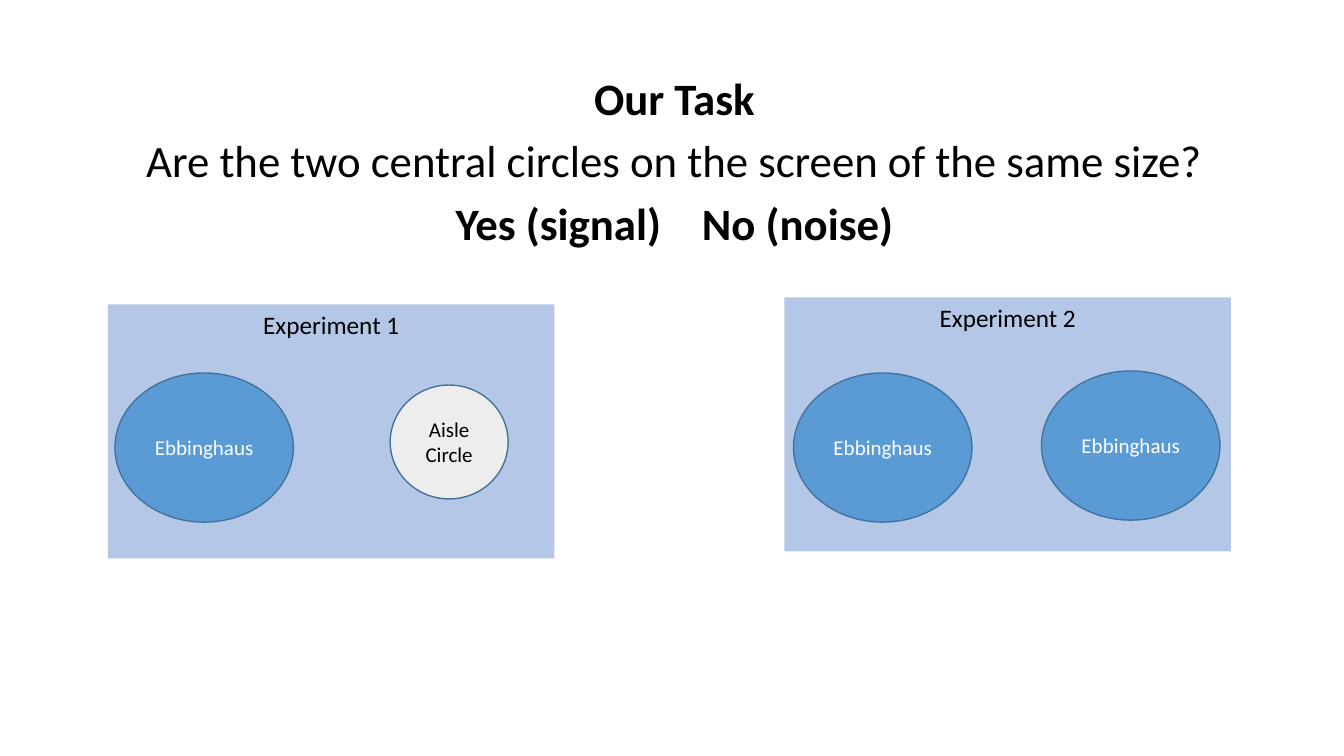
"""Build the slide that explains the circle comparison task."""
import pptx
import pptx.util
import pptx.dml.color
import pptx.enum.shapes
import pptx.enum.text

Inches, Pt = pptx.util.Inches, pptx.util.Pt
RGBColor = pptx.dml.color.RGBColor
SHAPE = pptx.enum.shapes.MSO_SHAPE
ANCHOR = pptx.enum.text.MSO_ANCHOR
ALIGN = pptx.enum.text.PP_ALIGN

BLACK = RGBColor(0x00, 0x00, 0x00)
WHITE = RGBColor(0xFF, 0xFF, 0xFF)
PANEL = RGBColor(0xB4, 0xC7, 0xE7)
BLUE = RGBColor(0x5B, 0x9B, 0xD5)
GREY = RGBColor(0xED, 0xED, 0xED)
OUTLINE = RGBColor(0x43, 0x73, 0x9E)


def add_run(p, text, size, color=BLACK, bold=False):
    """Add a formatted run to a paragraph and return it."""
    r = p.add_run()
    r.text = text
    r.font.name = "Calibri"
    r.font.size = Pt(size)
    r.font.bold = bold
    r.font.color.rgb = color
    return r


def add_task(s):
    """Add the centred question with its two answers."""
    sp = s.shapes.add_textbox(Inches(0.94), Inches(0.71), Inches(11.5), Inches(4.76))
    tf = sp.text_frame
    tf.word_wrap = True
    lines = [
        (["Our Task"], True),
        (["Are the two central circles on the screen of the same size?"], False),
        (["Yes (signal)", " ", "No (noise)"], True),
    ]
    for i, (texts, bold) in enumerate(lines):
        p = tf.add_paragraph() if i else tf.paragraphs[0]
        p.alignment = ALIGN.CENTER
        p.line_spacing = 0.9
        p.space_before = Pt(10)
        for text in texts:
            r = add_run(p, text, 32, bold=bold)
            if text == " ":
                r.font._element.set("spc", "2170")


def add_labelled(s, kind, box, fill, text, size, color, anchor):
    """Add a filled shape with a centred label and return it."""
    sp = s.shapes.add_shape(kind, *[Inches(v) for v in box])
    sp.shadow.inherit = False
    sp.fill.solid()
    sp.fill.fore_color.rgb = fill
    sp.line.fill.background()
    tf = sp.text_frame
    tf.word_wrap = True
    tf.vertical_anchor = anchor
    p = tf.paragraphs[0]
    p.alignment = ALIGN.CENTER
    add_run(p, text, size, color)
    return sp


def add_panel(s, left, top, text):
    """Add the background panel of one experiment."""
    add_labelled(s, SHAPE.RECTANGLE, (left, top, 4.43, 2.52), PANEL,
                 text, 18, BLACK, ANCHOR.TOP)


def add_circle(s, left, top, width=1.77, height=1.48, fill=BLUE,
               text="Ebbinghaus", color=WHITE):
    """Add an outlined ellipse with its label in the middle."""
    sp = add_labelled(s, SHAPE.OVAL, (left, top, width, height), fill,
                      text, 15, color, ANCHOR.MIDDLE)
    sp.line.color.rgb = OUTLINE
    sp.line.width = Pt(1)


def main():
    """Build and save the slide."""
    prs = pptx.Presentation()
    prs.slide_width, prs.slide_height = Inches(13.33), Inches(7.5)
    s = prs.slides.add_slide(prs.slide_layouts[6])
    add_task(s)
    add_panel(s, 1.07, 3.02, "Experiment 1")
    add_panel(s, 7.78, 2.95, "Experiment 2")
    for left, top in [(1.14, 3.7), (7.87, 3.7), (10.33, 3.68)]:
        add_circle(s, left, top)
    add_circle(s, 3.87, 3.82, 1.17, 1.13, GREY, "Aisle Circle", BLACK)
    prs.save("out.pptx")


if __name__ == "__main__":
    main()
